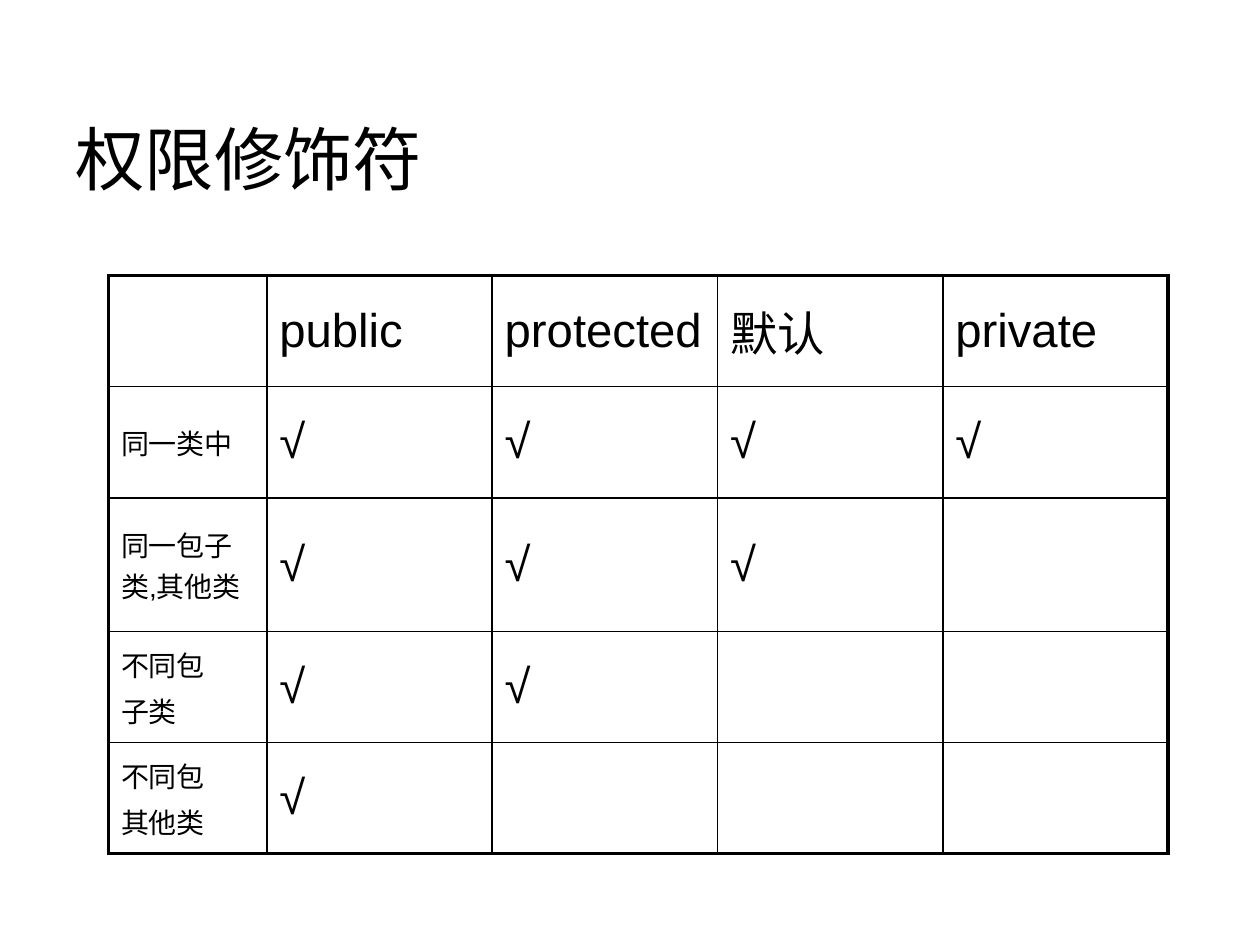
from lxml import etree
from pptx import Presentation
from pptx.dml import color
from pptx.enum import text
from pptx.oxml import ns
from pptx.util import Pt

INK = "000000"
ROWS = [
    ["", "public", "protected", "默认", "private"],
    ["同一类中", "√", "√", "√", "√"],
    ["同一包子类,其他类", "√", "√", "√", ""],
    ["不同包\n子类", "√", "√", "", ""],
    ["不同包\n其他类", "√", "", "", ""],
]


def rgb(value):
    """Turn a hex string into a colour."""
    return color.RGBColor.from_string(value)


def style_font(font, name, size):
    """Set family, size and colour of a font."""
    font.name, font.size = name, Pt(size)
    font.color.rgb = rgb(INK)


def add_title(page, left, top, width, height):
    """Place the title in its box."""
    title = page.shapes.title
    title.left, title.top, title.width, title.height = map(Pt, (left, top, width, height))
    frame = title.text_frame
    frame.text = "权限修饰符"
    frame.word_wrap = True
    frame.auto_size = text.MSO_AUTO_SIZE.NONE
    frame.vertical_anchor = text.MSO_ANCHOR.TOP
    frame.margin_top = Pt(45)
    para = frame.paragraphs[0]
    para.alignment = text.PP_ALIGN.LEFT
    style_font(para.runs[0].font, "Calibri", 39.6)


def set_borders(cell, widths):
    """Draw the left, right, top and bottom borders of a cell."""
    properties = cell._tc.get_or_add_tcPr()
    for index, (side, width) in enumerate(zip("LRTB", widths)):
        line = etree.Element(ns.qn(f"a:ln{side}"), w=str(Pt(width)))
        fill = etree.SubElement(line, ns.qn("a:solidFill"))
        etree.SubElement(fill, ns.qn("a:srgbClr"), val=INK)
        properties.insert(index, line)


def fill_cell(cell, content, size):
    """Write and format the text of a cell."""
    cell.fill.background()
    cell.vertical_anchor = text.MSO_ANCHOR.MIDDLE
    cell.text_frame.text = content
    for para in cell.text_frame.paragraphs:
        para.space_before = Pt(size * 0.2)
        for span in para.runs:
            style_font(span.font, "Arial", size)


def add_access_table(page, left, top, width, height, label_width=90.5):
    """Place the table of access levels in its box."""
    count, last = len(ROWS), len(ROWS[0]) - 1
    frame = page.shapes.add_table(count, last + 1, *map(Pt, (left, top, width, height)))
    table = frame.table
    table.first_row = table.horz_banding = False
    for index, column in enumerate(table.columns):
        column.width = Pt((width - label_width) / last if index else label_width)
    for row, contents in enumerate(ROWS):
        table.rows[row].height = Pt(height / count)
        for col, content in enumerate(contents):
            cell = table.cell(row, col)
            fill_cell(cell, content, 16 if row and not col else 27)
            outer = (col == 0, col == last, row == 0, row == count - 1)
            set_borders(cell, [2.25 if edge else 1 for edge in outer])


def main():
    """Build the deck and save it."""
    deck = Presentation()
    deck.slide_width, deck.slide_height = Pt(720), Pt(540)
    page = deck.slides.add_slide(deck.slide_layouts[5])
    add_title(page, 36, 21.6, 648, 90)
    add_access_table(page, 62, 157.5, 605.5, 317.5)
    deck.save("out.pptx")


if __name__ == "__main__":
    main()
